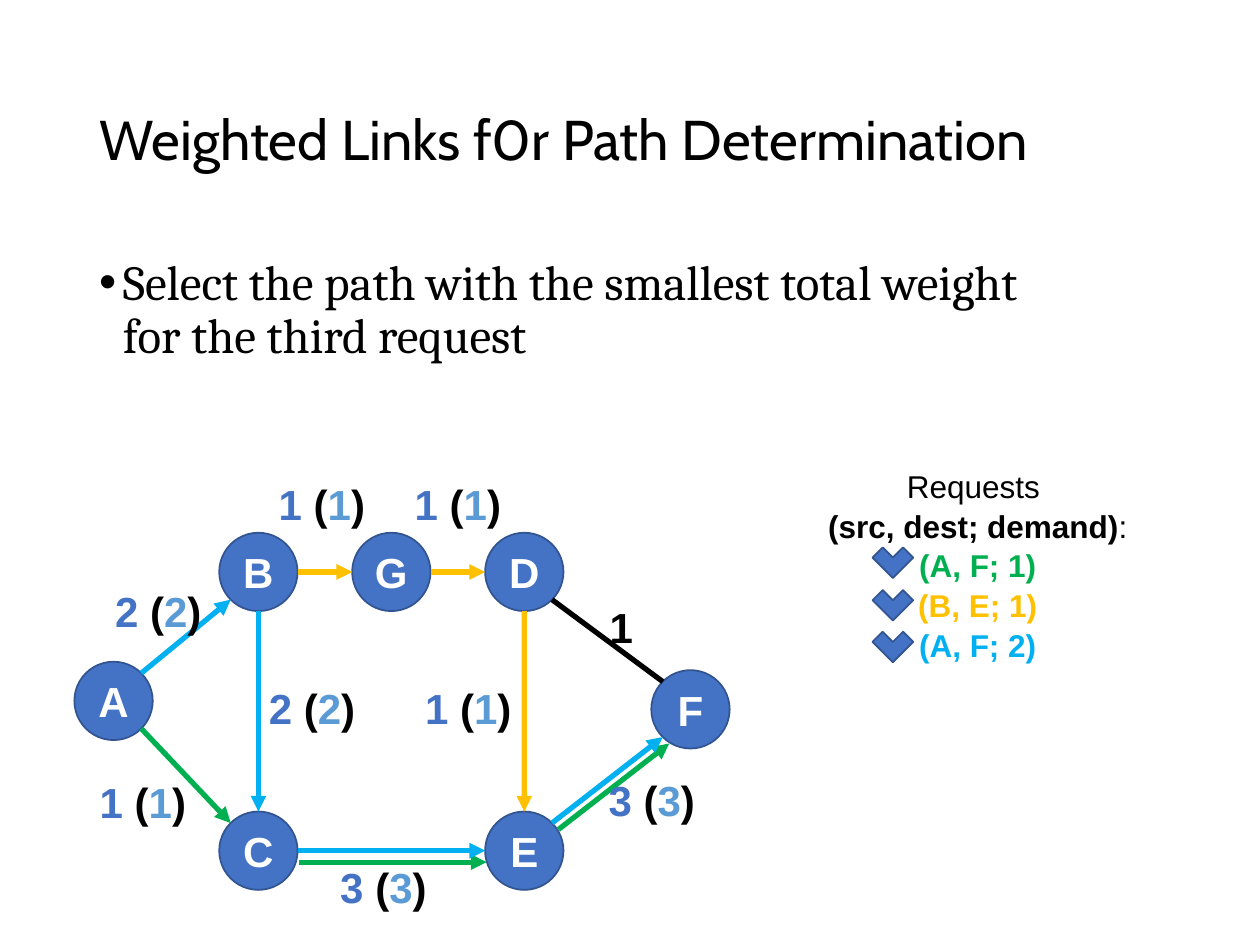
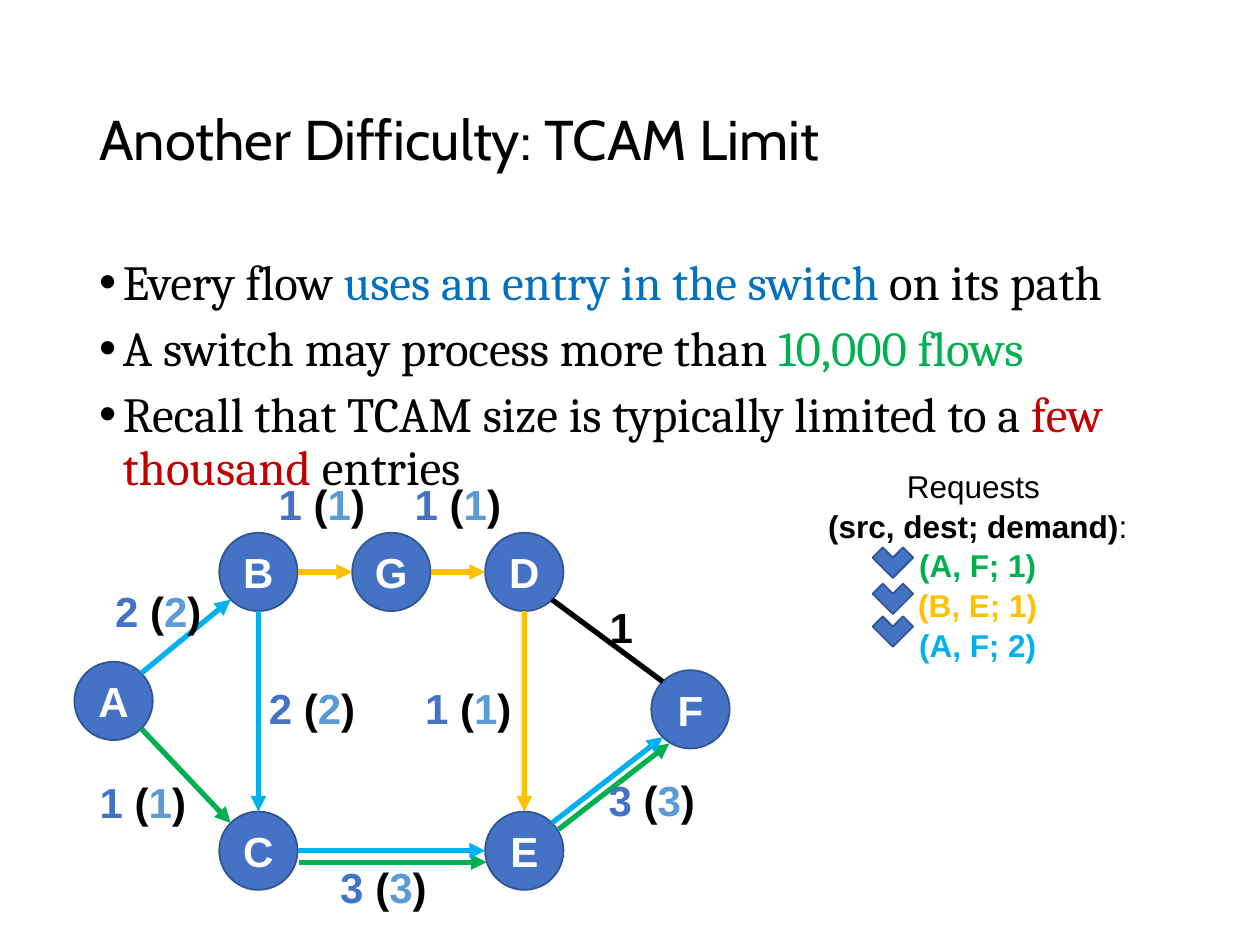
from math import cos, radians, sin

from lxml import etree
from pptx import Presentation
from pptx import util as u
from pptx.dml import color
from pptx.enum import shapes, text
from pptx.oxml import ns

BLACK, WHITE = "000000", "FFFFFF"
BLUE, EDGE, PALE = "4472C4", "325491", "5B9BD5"
GREEN, GOLD, SKY = "00B050", "FFC000", "00B0F0"
NODE = 1.58
COLUMNS = {"left": 4.42, "middle": 7.1, "right": 9.78}
ROWS = {"top": 10.74, "bottom": 16.36}
NODES = {
    "A": (1.5, 13.34),
    "B": (COLUMNS["left"], ROWS["top"]),
    "C": (COLUMNS["left"], ROWS["bottom"]),
    "D": (COLUMNS["right"], ROWS["top"]),
    "E": (COLUMNS["right"], ROWS["bottom"]),
    "F": (13.13, 13.51),
    "G": (COLUMNS["middle"], ROWS["top"]),
}
# start, end and their rim sites, counted anticlockwise from the top in eighths
LINKS = [
    ("A", 7, "B", 3, SKY),
    ("A", 5, "C", 1, GREEN),
    ("D", 5, "F", 1, BLACK),
    ("B", 6, "G", 2, GOLD),
    ("G", 6, "D", 2, GOLD),
    ("B", 4, "C", 0, SKY),
    ("D", 4, "E", 0, GOLD),
    ("C", 6, "E", 2, SKY),
    ("E", 7, "F", 3, SKY),
]
SECOND_FLOWS = [
    ("C", 6, "E", 2, GREEN, (0.03, 0.23)),
    ("E", 7, "F", 3, GREEN, (0.13, 0.13)),
]
WEIGHTS = [
    ("2", 2.06, 11.68),
    ("1", 1.75, 15.52),
    ("3", 6.6, 17.25),
    ("1", 5.36, 9.53),
    ("2", 5.16, 13.64),
    ("1", 8.1, 9.53),
    ("3", 12.01, 15.49),
    ("1", 8.31, 13.64),
]
REQUESTS = [
    [("Requests ", {})],
    [("(src, dest; demand)", {"bold": True}), (":", {})],
    [("(A, F; 1)", {"bold": True, "ink": GREEN})],
    [("(B, E; 1)", {"bold": True, "ink": GOLD})],
    [("(A, F; 2)", {"bold": True, "ink": SKY})],
]


def paint(fill, ink):
    """Give a fill one solid colour."""
    fill.solid()
    fill.fore_color.rgb = color.RGBColor.from_string(ink)


def write(para, words, size=24, face="Arial", ink=BLACK, bold=False, outline=None):
    """Add formatted words to a paragraph, breaking lines at newlines."""
    for number, piece in enumerate(words.split("\n")):
        if number:
            para.add_line_break()
        span = para.add_run()
        span.text = piece
        span.font.size = u.Pt(size)
        span.font.name = face
        span.font.bold = bold
        paint(span.font.fill, ink)
        if outline:
            edge = etree.Element(ns.qn("a:ln"), w=str(u.Pt(0.75)))
            solid = etree.SubElement(edge, ns.qn("a:solidFill"))
            etree.SubElement(solid, ns.qn("a:srgbClr"), val=outline)
            span._r.get_or_add_rPr().insert(0, edge)


def add_paragraphs(frame):
    """Yield the first paragraph of a frame and then new ones."""
    yield frame.paragraphs[0]
    while True:
        yield frame.add_paragraph()


def add_title(page, words):
    """Place and fill the title."""
    title = page.shapes.title
    title.left, title.top, title.width, title.height = map(u.Cm, (1.75, 1.02, 21.9, 3.68))
    title.text_frame.vertical_anchor = text.MSO_ANCHOR.MIDDLE
    para = title.text_frame.paragraphs[0]
    para.alignment = text.PP_ALIGN.LEFT
    para.line_spacing = 0.9
    write(para, words, size=32, face="Cabin")


def add_text_box(parent, left, top, width, height, wrap=True):
    """Add an empty text box and return its frame."""
    box = parent.shapes.add_textbox(*map(u.Cm, (left, top, width, height)))
    box.text_frame.word_wrap = wrap
    return box.text_frame


def add_bullets(page, points):
    """Add the bulleted body text."""
    frame = add_text_box(page, 1.75, 5.08, 21.9, 6.8)
    for number, (point, para) in enumerate(zip(points, add_paragraphs(frame))):
        props = para._p.get_or_add_pPr()
        props.set("marL", str(u.Cm(0.48)))
        props.set("indent", str(-u.Cm(0.48)))
        etree.SubElement(props, ns.qn("a:buFont"), typeface="Arial")
        etree.SubElement(props, ns.qn("a:buChar"), char="•")
        para.line_spacing = 0.9
        para.space_before = u.Pt(7.5 if number else 0)
        for words, ink in point:
            write(para, words, size=28, face="Cambria", ink=ink)


def add_preset(parent, kind, left, top, size):
    """Add a square-framed blue shape with a thin edge."""
    shape = parent.shapes.add_shape(kind, *map(u.Cm, (left, top, size, size)))
    shape.shadow.inherit = False
    paint(shape.fill, BLUE)
    paint(shape.line.fill, EDGE)
    shape.line.width = u.Pt(1)
    return shape


def add_requests(page, check_tops):
    """Add the request list and its check marks."""
    frame = add_text_box(page, 16.41, 9.25, 6.6, 4.88)
    for request, para in zip(REQUESTS, add_paragraphs(frame)):
        para.alignment = text.PP_ALIGN.CENTER
        para.line_spacing = 1.05
        for words, style in request:
            write(para, words, size=18, **style)
    for top in check_tops:
        add_preset(page, shapes.MSO_SHAPE.CORNER, 17.71, top, 0.58).rotation = 315


def add_node(network, name):
    """Add one lettered switch."""
    node = add_preset(network, shapes.MSO_SHAPE.OVAL, *NODES[name], NODE)
    frame = node.text_frame
    frame.word_wrap = False
    frame.vertical_anchor = text.MSO_ANCHOR.MIDDLE
    frame.paragraphs[0].alignment = text.PP_ALIGN.CENTER
    write(frame.paragraphs[0], name, ink=WHITE, bold=True)
    return node


def rim_point(name, site, shift):
    """Return the place of a connection site on a node's rim."""
    left, top = NODES[name]
    angle, radius = radians(45 * site), NODE / 2
    return (u.Cm(left + radius * (1 - sin(angle)) + shift[0]),
            u.Cm(top + radius * (1 - cos(angle)) + shift[1]))


def add_link(network, start, start_site, end, end_site, ink, shift=(0, 0)):
    """Draw a link between two nodes, with an arrowhead if it carries a flow."""
    line = network.shapes.add_connector(
        shapes.MSO_CONNECTOR.STRAIGHT,
        *rim_point(start, start_site, shift), *rim_point(end, end_site, shift))
    paint(line.line.fill, ink)
    line.line.width = u.Pt(3)
    props = line.element.spPr
    if ink != BLACK:
        etree.SubElement(props.find(ns.qn("a:ln")), ns.qn("a:tailEnd"), type="triangle")
    etree.SubElement(props, ns.qn("a:effectLst"))
    return line


def join(line, tag, node, site):
    """Attach one end of a line to a site on a round node."""
    props = line.element.find(".//" + ns.qn("p:cNvCxnSpPr"))
    etree.SubElement(props, ns.qn(tag), id=str(node.shape_id), idx=str(site))


def add_label(network, left, top, width, spans):
    """Add a centred label beside a link."""
    frame = add_text_box(network, left, top, width, 1.27, wrap=False)
    para = frame.paragraphs[0]
    para.alignment = text.PP_ALIGN.CENTER
    for words, ink, outline in spans:
        write(para, words, ink=ink, bold=True, outline=outline)


def add_network(page):
    """Draw the weighted network as one group."""
    network = page.shapes.add_group_shape()
    nodes = {name: add_node(network, name) for name in NODES}
    for flow in SECOND_FLOWS:
        add_link(network, *flow)
    for start, start_site, end, end_site, ink in LINKS:
        line = add_link(network, start, start_site, end, end_site, ink)
        join(line, "a:stCxn", nodes[start], start_site)
        join(line, "a:endCxn", nodes[end], end_site)
    for weight, left, top in WEIGHTS:
        add_label(network, left, top, 2.26, [
            (weight, BLUE, BLACK), (" (", BLACK, None),
            (weight, PALE, BLUE), (")", BLACK, None)])
    add_label(network, 12.04, 12.01, 0.86, [("1", BLACK, None)])


def add_page(deck, title, points, check_tops):
    """Build one slide around the shared network."""
    page = deck.slides.add_slide(deck.slide_layouts[5])
    add_title(page, title)
    add_bullets(page, points)
    add_requests(page, check_tops)
    add_network(page)


def main():
    """Build and save the deck."""
    deck = Presentation()
    deck.slide_width, deck.slide_height = u.Cm(25.4), u.Cm(19.05)
    add_page(
        deck, "Weighted Links f0r Path Determination",
        [[("Select the path with the smallest total weight\nfor the third request", BLACK)]],
        (10.95, 11.81, 12.65))
    add_page(
        deck, "Another Difficulty: TCAM Limit",
        [[("Every flow ", BLACK), ("uses an entry in the switch ", "0070C0"),
          ("on its path", BLACK)],
         [("A switch may process more than ", BLACK), ("10,000 flows", GREEN)],
         [("Recall that TCAM size is typically limited to a ", BLACK),
          ("few thousand ", "C00000"), ("entries", BLACK)]],
        (10.95, 11.68, 12.34))
    deck.save("out.pptx")


if __name__ == "__main__":
    main()
